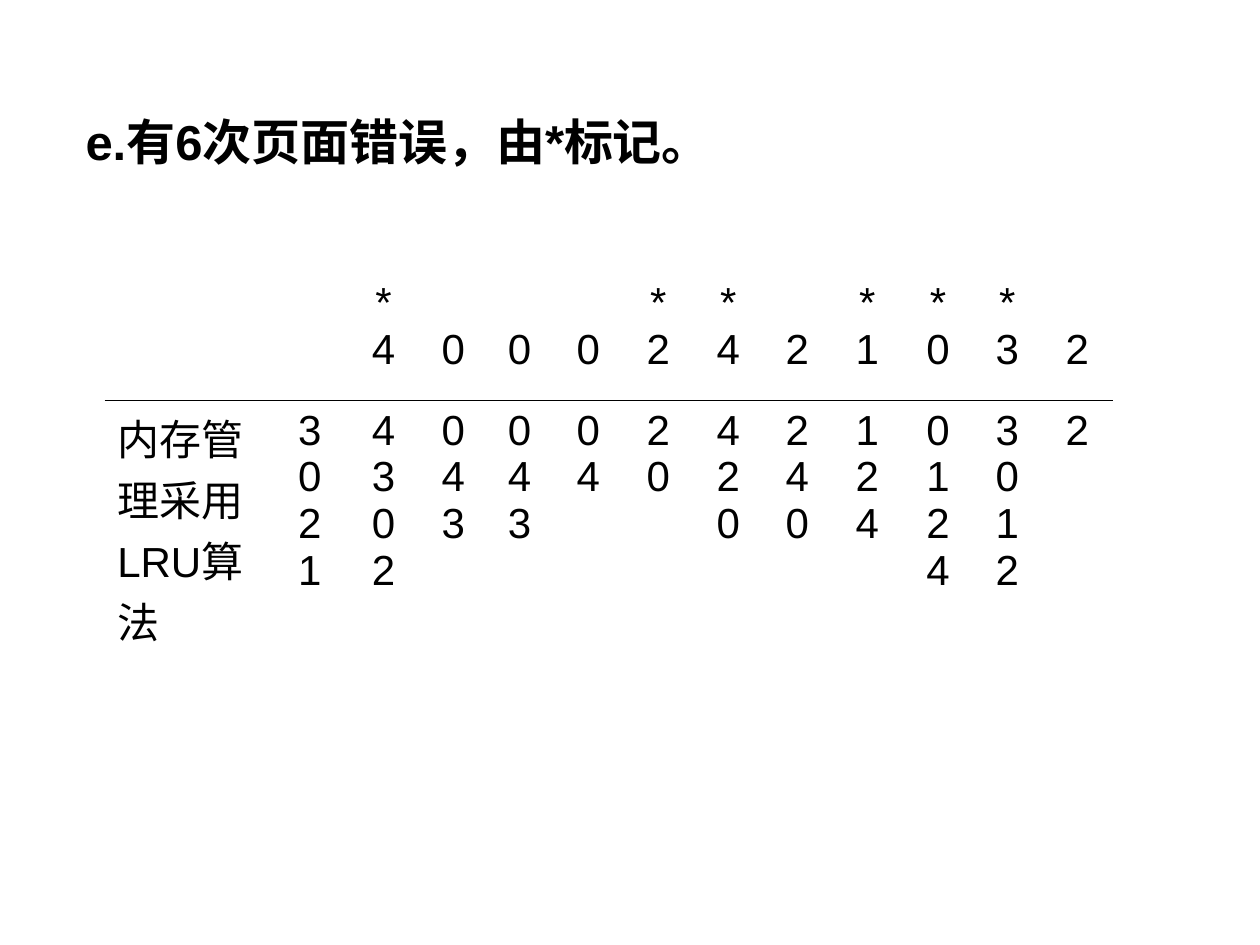
from lxml import etree
from pptx import Presentation
from pptx import util as u
from pptx.dml.color import RGBColor
from pptx.enum import text
from pptx.oxml import ns

BLACK = RGBColor(0, 0, 0)
FONT = "Arial"
PLAIN = "{2D5ABB26-0587-4C30-8999-92F81FD0307C}"
LABEL = "内存管理采用LRU算法"
REFS = "40002421032"
FAULTS = {0, 4, 5, 7, 8, 9}
STACKS = ["3021", "4302", "043", "043", "04", "20", "420", "240",
          "124", "0124", "3012", "2"]
WIDTHS = [3.4, 1.47, 1.5, 1.32, 1.35, 1.42, 1.4, 1.42, 1.37, 1.45,
          1.4, 1.4, 1.42]
HEIGHTS = [2.57, 4.85]


def style(par, size, align, bold=False):
    par.alignment = align
    font = par.font
    font.name = FONT
    font.size = u.Pt(size)
    font.bold = bold
    font.color.rgb = BLACK


def rule(cell, side):
    props = cell._tc.get_or_add_tcPr()
    line = etree.Element(ns.qn("a:" + side), w=str(u.Pt(0.45)))
    fill = etree.SubElement(line, ns.qn("a:solidFill"))
    etree.SubElement(fill, ns.qn("a:srgbClr"), val=str(BLACK))
    props.insert(0, line)


def write(cell, lines, align=text.PP_ALIGN.CENTER):
    frame = cell.text_frame
    frame.text = "\n".join(lines)
    for par in frame.paragraphs:
        style(par, 24, align)


def add_title(slide):
    title = slide.shapes.title
    title.left, title.top = u.Cm(1.47), u.Cm(2.11)
    title.width, title.height = u.Cm(17.35), u.Cm(1.45)
    frame = title.text_frame
    frame.text = "e.有6次页面错误，由*标记。"
    frame.vertical_anchor = text.MSO_ANCHOR.MIDDLE
    frame.auto_size = text.MSO_AUTO_SIZE.NONE
    style(frame.paragraphs[0], 28, text.PP_ALIGN.LEFT, True)


def add_grid(slide):
    frame = slide.shapes.add_table(
        len(HEIGHTS), len(WIDTHS), u.Cm(2.11), u.Cm(5.51),
        u.Cm(sum(WIDTHS)), u.Cm(sum(HEIGHTS)))
    grid = frame.table
    grid._tbl.tblPr.find(ns.qn("a:tableStyleId")).text = PLAIN
    grid.first_row = grid.horz_banding = False
    for col, width in zip(grid.columns, WIDTHS):
        col.width = u.Cm(width)
    for row, high, side in zip(grid.rows, HEIGHTS, ("lnB", "lnT")):
        row.height = u.Cm(high)
        for cell in row.cells:
            cell.fill.background()
            rule(cell, side)
    return grid


def fill_grid(grid):
    for pos, ref in enumerate(REFS):
        cell = grid.cell(0, pos + 2)
        if pos in FAULTS:
            write(cell, ["*", ref])
        else:
            write(cell, [ref])
            cell.margin_top = u.Cm(1.08)
    write(grid.cell(1, 0), [LABEL], text.PP_ALIGN.LEFT)
    for pos, stack in enumerate(STACKS, 1):
        write(grid.cell(1, pos), stack)


def main():
    deck = Presentation()
    deck.slide_width, deck.slide_height = u.Cm(25.4), u.Cm(19.05)
    slide = deck.slides.add_slide(deck.slide_layouts[5])
    add_title(slide)
    fill_grid(add_grid(slide))
    deck.save("out.pptx")


if __name__ == "__main__":
    main()
